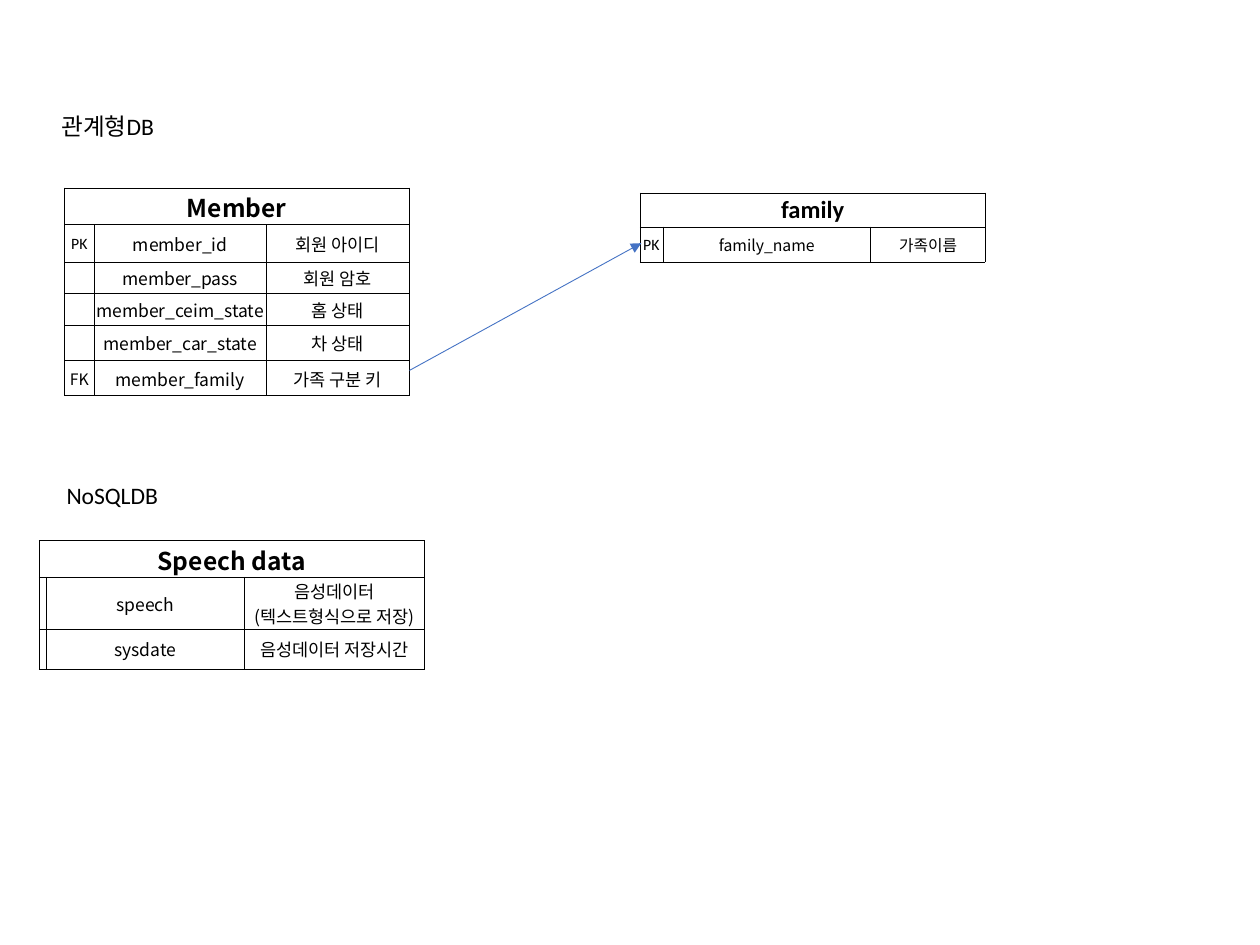
import pptx
import pptx.util
import pptx.dml.color
import pptx.enum.shapes
import pptx.enum.text
import pptx.oxml.ns
from lxml import etree

BLACK = pptx.dml.color.RGBColor(0x00, 0x00, 0x00)
BLUE = pptx.dml.color.RGBColor(0x44, 0x72, 0xC4)
LATIN, KOREAN = "Calibri", "Noto Sans CJK KR"
Pt = pptx.util.Pt
qn = pptx.oxml.ns.qn

deck = pptx.Presentation()
deck.slide_width, deck.slide_height = pptx.util.Inches(10), pptx.util.Inches(7.5)
slide = deck.slides.add_slide(deck.slide_layouts[5])
# Square grid: 100 columns by 75 rows
UNIT = deck.slide_width // 100


def grid(*lengths):
    return [round(length * UNIT) for length in lengths]


def style(paragraph, **font_format):
    for run in paragraph.runs:
        run.font.color.rgb = BLACK
        for name, value in font_format.items():
            setattr(run.font, name, value)


# Section headings
relational = slide.shapes.title
document = slide.shapes.add_textbox(0, 0, UNIT, UNIT)
for heading, wording, place in [
    (relational, "관계형DB", (3.9, 8.4, 9.9, 3.3)),
    (document, "NoSQLDB", (4.3, 37.7, 9.7, 3.3)),
]:
    heading.left, heading.top, heading.width, heading.height = grid(*place)
    frame = heading.text_frame
    frame.text = wording
    for name, value in {
        "word_wrap": False,
        "auto_size": pptx.enum.text.MSO_AUTO_SIZE.SHAPE_TO_FIT_TEXT,
        "vertical_anchor": pptx.enum.text.MSO_ANCHOR.TOP,
    }.items():
        setattr(frame, name, value)
    frame.paragraphs[0].alignment = pptx.enum.text.PP_ALIGN.LEFT
    style(frame.paragraphs[0], name=LATIN, size=Pt(13.5))

# Entities: position, column widths, row heights, header font, column fonts, size, fields
entities = [
    ("Member", (5.1, 14.9), (2.4, 13.6, 11.4), (2.9, 3, 2.5, 2.5, 2.8, 2.8),
     KOREAN, (LATIN, KOREAN, LATIN), 10, [
         ("PK", "member_id", "회원 아이디"),
         ("", "member_pass", "회원 암호"),
         ("", "member_ceim_state", "홈 상태"),
         ("", "member_car_state", "차 상태"),
         ("FK", "member_family", "가족 구분 키")]),
    ("family", (50.8, 15.3), (1.8, 16.5, 9.1), (2.7, 2.8),
     LATIN, (LATIN, KOREAN, KOREAN), 9, [
         ("PK", "family_name", "가족이름")]),
    ("Speech data", (3.1, 42.9), (0.5, 15.7, 14.3), (2.9, 4.1, 3.2),
     KOREAN, (KOREAN, KOREAN, KOREAN), 10, [
         ("", "speech", "음성데이터\n(텍스트형식으로 저장)"),
         ("", "sysdate", "음성데이터 저장시간")]),
]
for entity, corner, widths, heights, header_font, fonts, size, fields in entities:
    table = slide.shapes.add_table(
        len(heights), len(widths), *grid(*corner, sum(widths), sum(heights))).table
    table.first_row = table.horz_banding = False
    for column, width in zip(table.columns, grid(*widths)):
        column.width = width
    for row, height in zip(table.rows, grid(*heights)):
        row.height = height
    table.cell(0, 0).merge(table.cell(0, 2))

    for r, record in enumerate([(entity, "", "")] + fields):
        for c, wording in enumerate(record):
            cell = table.cell(r, c)
            cell.text = wording
            for name, value in {
                "margin_left": Pt(0.7), "margin_right": Pt(0.7),
                "margin_top": Pt(0.7), "margin_bottom": 0,
                "vertical_anchor": pptx.enum.text.MSO_ANCHOR.MIDDLE,
            }.items():
                setattr(cell, name, value)
            points = 14 if r == 0 else 9 if c == 0 else size
            font = header_font if r == 0 else KOREAN if wording == "FK" else fonts[c]
            for paragraph in cell.text_frame.paragraphs:
                paragraph.alignment = pptx.enum.text.PP_ALIGN.CENTER
                style(paragraph, name=font, size=Pt(points), bold=r == 0)
                if not wording:  # keeps empty cells from stretching the row
                    etree.SubElement(paragraph._p, qn("a:endParaRPr"), sz=str(points * 100))
            # Thin black borders
            properties = cell._tc.get_or_add_tcPr()
            for side in ("a:lnL", "a:lnR", "a:lnT", "a:lnB"):
                border = etree.SubElement(properties, qn(side), w=str(Pt(0.25)))
                paint = etree.SubElement(border, qn("a:solidFill"))
                etree.SubElement(paint, qn("a:srgbClr"), val=str(BLACK))
            cell.fill.background()

# Foreign key arrow from member_family to family
foreign_key = slide.shapes.add_connector(
    pptx.enum.shapes.MSO_CONNECTOR.STRAIGHT, *grid(32.5, 29.4, 50.9, 19.3))
foreign_key.line.color.rgb = BLUE
foreign_key.line.width = Pt(0.5)
etree.SubElement(foreign_key.line._get_or_add_ln(), qn("a:tailEnd"), type="triangle")
etree.SubElement(foreign_key._element.spPr, qn("a:effectLst"))

deck.save("out.pptx")
